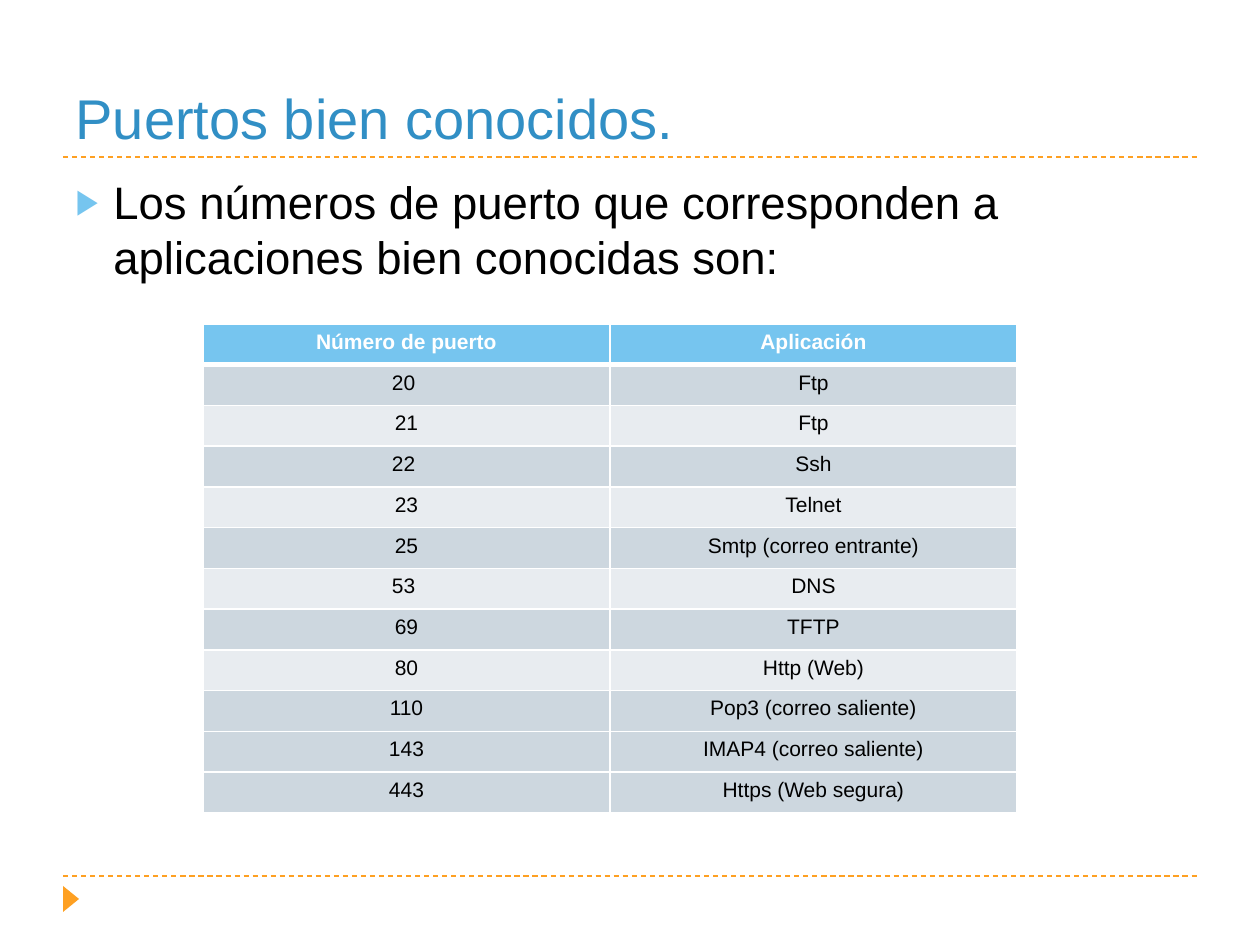
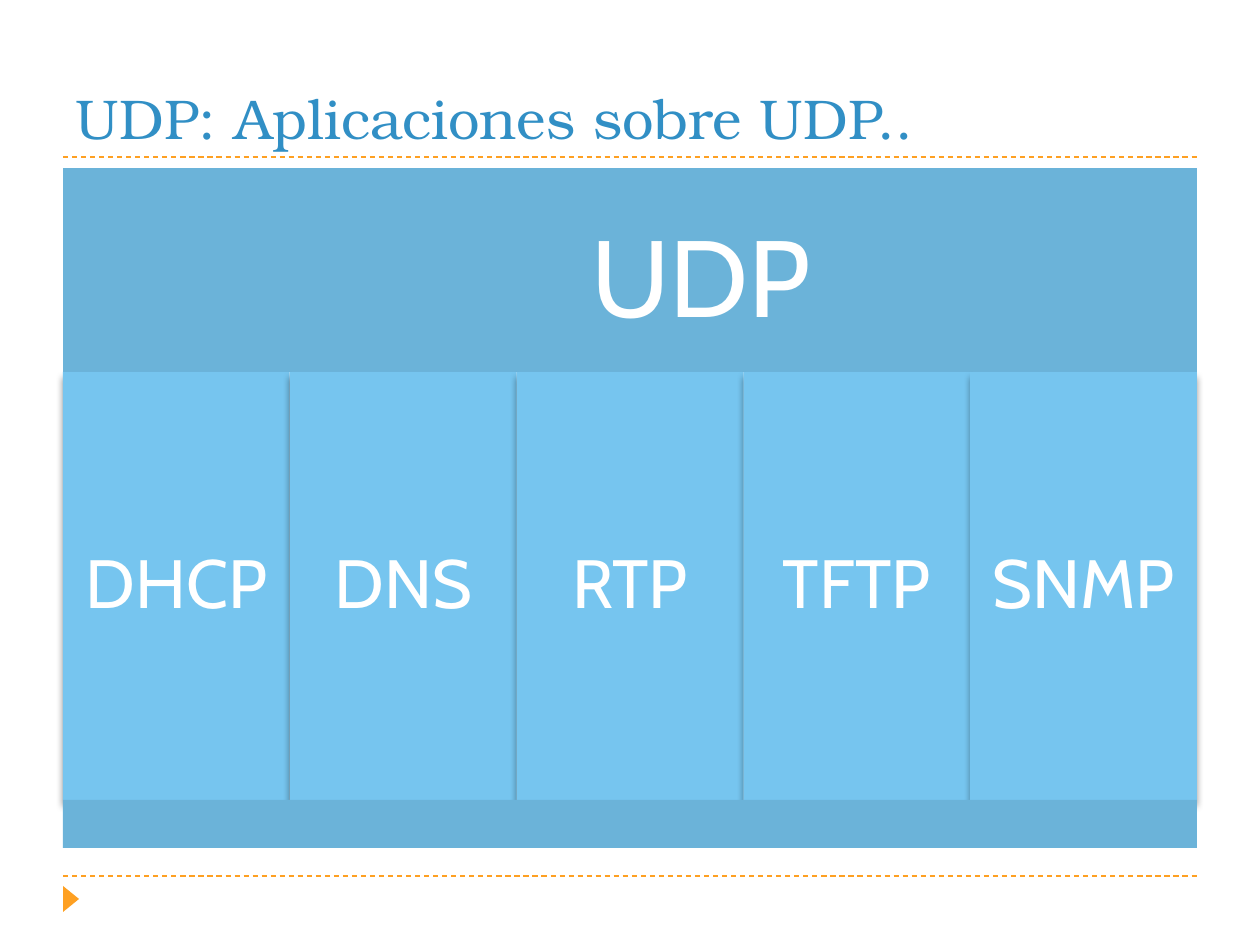
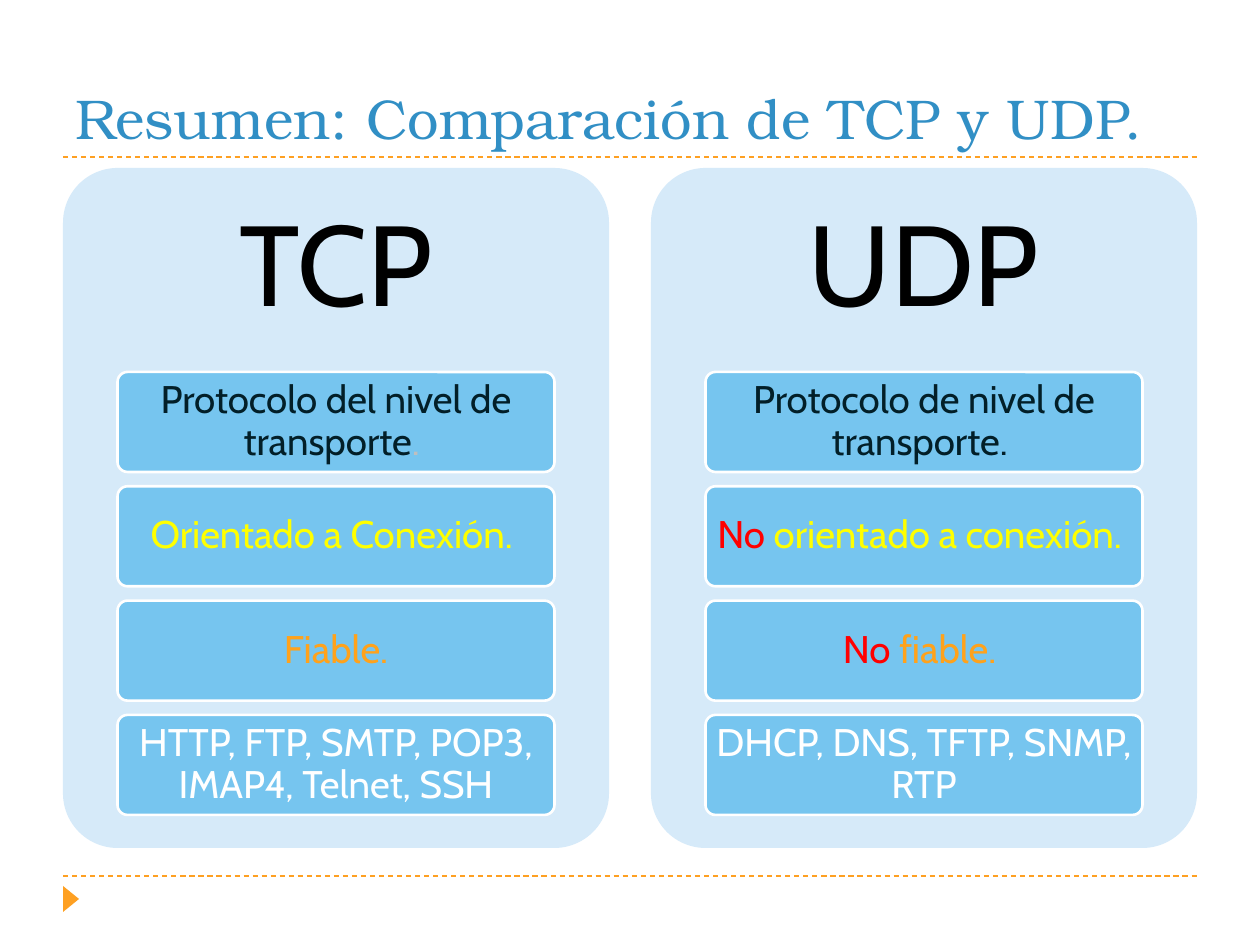
from lxml.etree import SubElement
from pptx import Presentation
from pptx.dml.color import RGBColor
from pptx.enum.dml import MSO_LINE_DASH_STYLE as Dash
from pptx.enum.shapes import MSO_CONNECTOR as Connector, MSO_SHAPE as Shape
from pptx.enum.text import MSO_ANCHOR as Anchor, MSO_AUTO_SIZE as AutoSize, PP_ALIGN as Align
from pptx.oxml import parse_xml
from pptx.oxml.ns import nsdecls, qn
from pptx.util import Inches, Pt

PX = Inches(1) / 126

WHITE = RGBColor(0xFF, 0xFF, 0xFF)
BLACK = RGBColor(0x00, 0x00, 0x00)
TITLE_BLUE = RGBColor(0x31, 0x8F, 0xC5)
SKY = RGBColor(0x76, 0xC5, 0xEF)
BAND_BLUE = RGBColor(0x6B, 0xB3, 0xD9)
PANEL_BLUE = RGBColor(0xD6, 0xEA, 0xF9)
ROW_DARK = RGBColor(0xCD, 0xD7, 0xDF)
ROW_LIGHT = RGBColor(0xE8, 0xEC, 0xF0)
ACCENT = RGBColor(0xFE, 0xA0, 0x22)
INK = RGBColor(0x02, 0x1F, 0x28)
GRAY = RGBColor(0xBF, 0xBF, 0xBF)
YELLOW = RGBColor(0xFF, 0xFF, 0x00)
ORANGE = RGBColor(0xFF, 0xA2, 0x1B)
RED = RGBColor(0xFF, 0x00, 0x00)

SANS, SERIF, DIAGRAM = "Arial", "TeX Gyre Bonum", "Cabin"
LEFT, RIGHT = 63, 1197
WIDTH = RIGHT - LEFT
CONTENT_TOP, CONTENT_HEIGHT = 168, 680
HEADING_HEIGHT = 204
DETAIL_TOP = CONTENT_TOP + HEADING_HEIGHT


def write(paragraph, runs, font_name, size, align=Align.CENTER, bold=False):
    """Fill a paragraph with (text, colour) runs."""
    paragraph.alignment = align
    for text, color in runs:
        run = paragraph.add_run()
        run.text = text
        font_format = {"name": font_name, "size": Pt(size), "bold": bold}
        for name, value in font_format.items():
            setattr(run.font, name, value)
        run.font.color.rgb = color


def add_box(slide, kind, box, fill, runs=(), size=12, insets=(0, 0, 0, 0)):
    """Add a flat shape; insets run left, top, right, bottom."""
    shape = slide.shapes.add_shape(kind, *[round(value * PX) for value in box])
    shape.shadow.inherit = False
    shape.fill.solid()
    shape.fill.fore_color.rgb = fill
    shape.line.fill.background()
    if kind == Shape.ROUNDED_RECTANGLE:
        shape.adjustments[0] = 0.1
    frame = shape.text_frame
    frame.word_wrap = True
    frame.vertical_anchor = Anchor.MIDDLE
    for side, inset in zip(("left", "top", "right", "bottom"), insets):
        setattr(frame, f"margin_{side}", round(inset * PX))
    if runs:
        frame.paragraphs[0].line_spacing = 0.9
        write(frame.paragraphs[0], runs, DIAGRAM, size)
    return shape


presentation = Presentation()
presentation.slide_width, presentation.slide_height = Inches(10), Inches(7.5)
CONTENT_LAYOUT, TITLE_ONLY = presentation.slide_layouts[1], presentation.slide_layouts[5]

# Shared frame: title, dashed rules and corner marker
slides = []
for layout, title_text, title_font in (
    (CONTENT_LAYOUT, "Puertos bien conocidos.", SANS),
    (TITLE_ONLY, "UDP: Aplicaciones sobre UDP..", SERIF),
    (TITLE_ONLY, "Resumen: Comparación de TCP y UDP.", SERIF),
):
    slide = presentation.slides.add_slide(layout)
    slides.append(slide)
    for y in (876, 157):
        rule = slide.shapes.add_connector(
            Connector.STRAIGHT, *[round(value * PX) for value in (LEFT, y, RIGHT, y)])
        rule.line.color.rgb = ACCENT
        rule.line.width = Pt(0.75)
        rule.line.dash_style = Dash.DASH
        SubElement(rule._element.spPr, qn("a:effectLst"))
    marker = add_box(slide, Shape.ISOSCELES_TRIANGLE, (58, 891, 26, 16), ACCENT)
    marker.rotation = 90

    title = slide.shapes.title
    title_box = {"left": LEFT, "top": 21, "width": WIDTH, "height": 136}
    for name, value in title_box.items():
        setattr(title, name, round(value * PX))
    title.text_frame.auto_size = AutoSize.NONE
    title.text_frame.vertical_anchor = Anchor.BOTTOM
    write(title.text_frame.paragraphs[0], [(title_text, TITLE_BLUE)], title_font, 32, Align.LEFT)

ports_slide, udp_slide, summary_slide = slides

# Well-known ports
body = ports_slide.placeholders[1]
body_box = {"left": LEFT, "top": CONTENT_TOP, "width": WIDTH, "height": CONTENT_HEIGHT}
for name, value in body_box.items():
    setattr(body, name, round(value * PX))
body.text_frame.auto_size = AutoSize.NONE
paragraph = body.text_frame.paragraphs[0]
paragraph.space_before = Pt(6)
write(paragraph, [("Los números de puerto que corresponden a aplicaciones bien conocidas son:", BLACK)],
      SANS, 26, Align.LEFT)
properties = paragraph._p.get_or_add_pPr()
properties.set("marL", str(Inches(0.3)))
properties.set("indent", str(-Inches(0.3)))
for bullet in (f'<a:buClr {nsdecls("a")}><a:srgbClr val="{SKY}"/></a:buClr>',
               f'<a:buSzPct {nsdecls("a")} val="76000"/>',
               f'<a:buFont {nsdecls("a")} typeface="{SANS}"/>',
               f'<a:buChar {nsdecls("a")} char="▶"/>'):
    properties.append(parse_xml(bullet))

PORTS = [
    ("Número de puerto", "Aplicación"),
    ("20 ", "Ftp"),
    ("21", "Ftp"),
    ("22 ", "Ssh"),
    ("23", "Telnet"),
    ("25", "Smtp (correo entrante)"),
    ("53 ", "DNS"),
    ("69", "TFTP"),
    ("80", "Http (Web)"),
    ("110", "Pop3 (correo saliente)"),
    ("143", "IMAP4 (correo saliente)"),
    ("443", "Https (Web segura)"),
]
table_box = [round(value * PX) for value in (203, 324, 814, 489)]
table = ports_slide.shapes.add_table(len(PORTS), 2, *table_box).table
for row, values in enumerate(PORTS):
    header = row == 0
    if header:
        fill = SKY
    else:
        fill = ROW_DARK if row % 2 or row == 10 else ROW_LIGHT
    for column, text in enumerate(values):
        cell = table.cell(row, column)
        borders = {"lnL": 1, "lnR": 1, "lnT": 3 if row == 1 else 1, "lnB": 3 if header else 1}
        for tag, width in borders.items():
            cell._tc.get_or_add_tcPr().append(parse_xml(
                f'<a:{tag} {nsdecls("a")} w="{Pt(width)}"><a:solidFill>'
                f'<a:srgbClr val="{WHITE}"/></a:solidFill></a:{tag}>'))
        cell.fill.solid()
        cell.fill.fore_color.rgb = fill
        write(cell.text_frame.paragraphs[0], [(text, WHITE if header else BLACK)],
              SANS, 12, bold=header)

# Applications over UDP
add_box(udp_slide, Shape.FLOWCHART_INTERNAL_STORAGE, (LEFT, CONTENT_TOP, WIDTH, HEADING_HEIGHT),
        BAND_BLUE, [("UDP", WHITE)], 62, (33, 33, 33, 33))
APPLICATIONS = ["DHCP", "DNS", "RTP", "TFTP", "SNMP"]
COLUMN_WIDTH, COLUMN_HEIGHT = WIDTH / len(APPLICATIONS), 428
for index, application in enumerate(APPLICATIONS):
    column = add_box(udp_slide, Shape.RECTANGLE,
                     (LEFT + index * COLUMN_WIDTH, DETAIL_TOP, COLUMN_WIDTH, COLUMN_HEIGHT),
                     SKY, [(application, WHITE)], 39, (20, 20, 20, 20))
    column._element.spPr.find(qn("a:effectLst")).append(parse_xml(
        f'<a:outerShdw {nsdecls("a")} blurRad="{Pt(4)}" dist="{Pt(3.4)}" dir="5400000" '
        'rotWithShape="0"><a:srgbClr val="000000"><a:alpha val="40000"/></a:srgbClr></a:outerShdw>'))
add_box(udp_slide, Shape.RECTANGLE, (LEFT, DETAIL_TOP + COLUMN_HEIGHT, WIDTH, 48), BAND_BLUE)

# TCP and UDP compared
COMPARISON = {
    "TCP": [
        [("Protocolo del nivel de transporte", INK), (". ", GRAY)],
        [("Orientado a Conexión. ", YELLOW)],
        [("Fiable.", ORANGE)],
        [("HTTP, FTP, SMTP, POP3, IMAP4, Telnet, SSH", WHITE)],
    ],
    "UDP": [
        [("Protocolo de nivel de transporte. ", INK)],
        [("No ", RED), ("orientado a conexión. ", YELLOW)],
        [("No", RED), (" fiable. ", ORANGE)],
        [("DHCP, DNS, TFTP, SNMP, RTP", WHITE)],
    ],
}
PANEL_WIDTH, CARD_WIDTH, CARD_HEIGHT = 546, 437, 100
CARDS_BOTTOM = 815
CARD_PITCH = (CARDS_BOTTOM - DETAIL_TOP - CARD_HEIGHT) / 3
below_heading = CONTENT_HEIGHT - HEADING_HEIGHT
for panel_left, (protocol, cards) in zip((LEFT, RIGHT - PANEL_WIDTH), COMPARISON.items()):
    add_box(summary_slide, Shape.ROUNDED_RECTANGLE,
            (panel_left, CONTENT_TOP, PANEL_WIDTH, CONTENT_HEIGHT),
            PANEL_BLUE, [(protocol, BLACK)], 65, (34, 34, 34, 34 + below_heading))
    card_left = panel_left + (PANEL_WIDTH - CARD_WIDTH) / 2
    for index, runs in enumerate(cards):
        card = add_box(summary_slide, Shape.ROUNDED_RECTANGLE,
                       (card_left, DETAIL_TOP + index * CARD_PITCH, CARD_WIDTH, CARD_HEIGHT),
                       SKY, runs, 22, (5, 3, 5, 3))
        card.line.color.rgb = WHITE
        card.line.width = Pt(1.5)

presentation.save("out.pptx")
